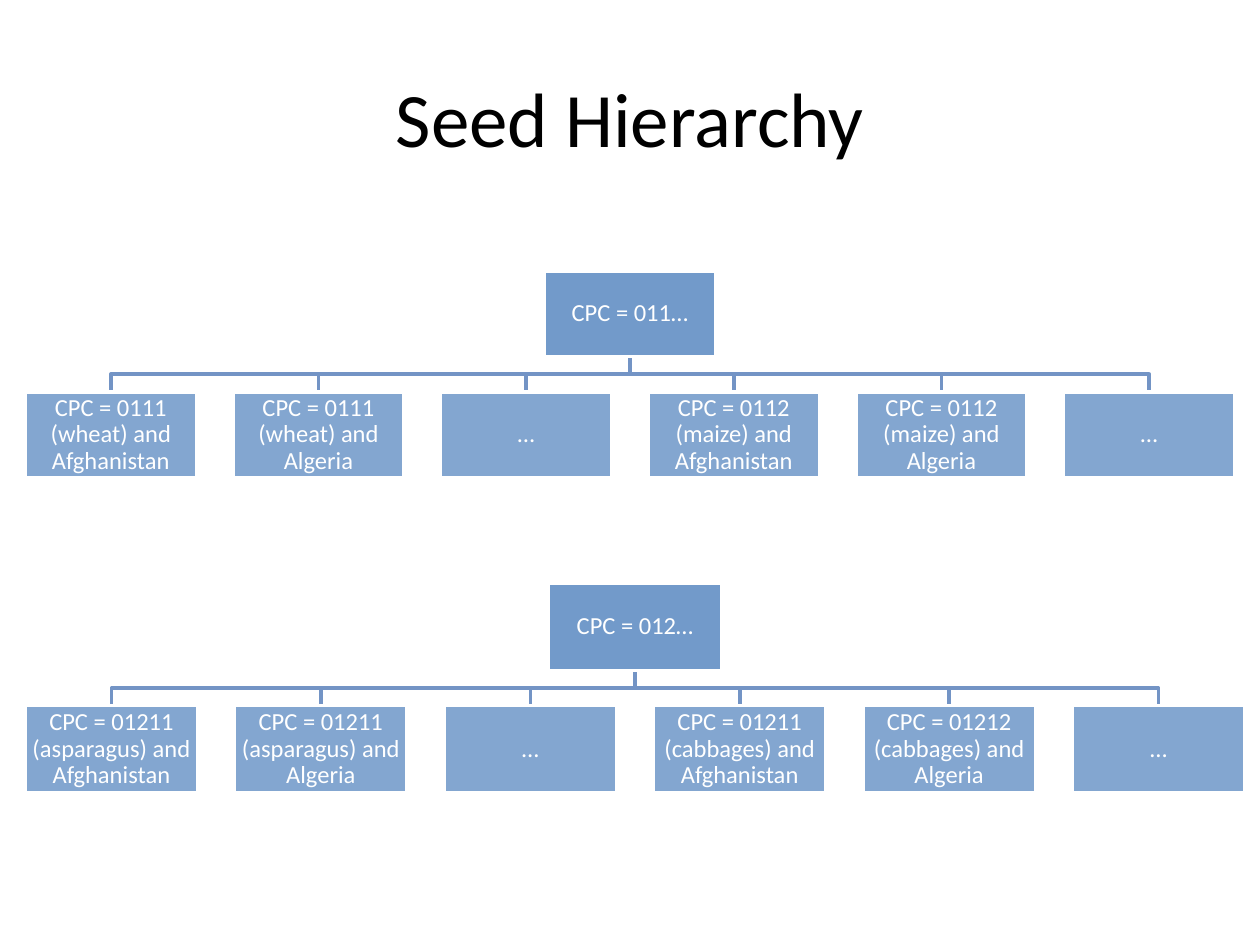
import pptx
import pptx.dml.color
import pptx.enum.shapes
import pptx.enum.text
import pptx.oxml
import pptx.oxml.ns
import pptx.util
from pptx.util import Inches

COLORS = {"box": "4F81BD", "branch": "7394C5", "light": "FFFFFF", "title": "000000"}
FONT = "Calibri"
GAP = 0.28

TREES = [
    {
        "left": 0.2, "right": 9.8, "top": 2.15, "width": 1.36, "height": 0.68,
        "root": "CPC = 011…",
        "leaves": [
            "CPC = 0111 (wheat) and Afghanistan",
            "CPC = 0111 (wheat) and Algeria",
            "…",
            "CPC = 0112 (maize) and Afghanistan",
            "CPC = 0112 (maize) and Algeria",
            "…",
        ],
    },
    {
        "left": 0.2, "right": 9.88, "top": 4.63, "width": 1.37, "height": 0.69,
        "root": "CPC = 012…",
        "leaves": [
            "CPC = 01211 (asparagus) and Afghanistan",
            "CPC = 01211 (asparagus) and Algeria",
            "…",
            "CPC = 01211 (cabbages) and Afghanistan",
            "CPC = 01212 (cabbages) and Algeria",
            "…",
        ],
    },
]


def rgb(name):
    return pptx.dml.color.RGBColor.from_string(COLORS[name])


def write(holder, text, size, color):
    frame = holder.text_frame
    frame.text = text
    frame.word_wrap = True
    frame.vertical_anchor = pptx.enum.text.MSO_ANCHOR.MIDDLE
    paragraph = frame.paragraphs[0]
    paragraph.alignment = pptx.enum.text.PP_ALIGN.CENTER
    font = paragraph.runs[0].font
    font.name = FONT
    font.size = pptx.util.Pt(size)
    font.color.rgb = rgb(color)
    return frame


def add_title(slide, text):
    title = slide.shapes.add_textbox(Inches(0.5), Inches(0.3), Inches(9), Inches(1.25))
    write(title, text, 44, "title")


def add_box(slide, left, top, width, height, text, opacity):
    box = slide.shapes.add_shape(
        pptx.enum.shapes.MSO_SHAPE.RECTANGLE,
        Inches(left), Inches(top), Inches(width), Inches(height))
    box.shadow.inherit = False
    box.fill.solid()
    box.fill.fore_color.rgb = rgb("box")
    tint = box.fill._xPr.find(".//" + pptx.oxml.ns.qn("a:srgbClr"))
    alpha = pptx.oxml.parse_xml(
        f'<a:alpha {pptx.oxml.ns.nsdecls("a")} val="{opacity * 1000}"/>')
    tint.append(alpha)
    box.line.color.rgb = rgb("light")
    box.line.width = pptx.util.Pt(2)
    frame = write(box, text, 14, "light")
    frame.margin_left = frame.margin_right = Inches(0.01)
    frame.margin_top = frame.margin_bottom = Inches(0.01)
    frame.paragraphs[0].line_spacing = 0.9


def add_branch(slide, root_x, leaf_x, top, bottom):
    middle = (top + bottom) / 2
    builder = slide.shapes.build_freeform(Inches(root_x), Inches(top))
    bends = [(root_x, middle), (leaf_x, middle), (leaf_x, bottom)]
    builder.add_line_segments([(Inches(x), Inches(y)) for x, y in bends], close=False)
    branch = builder.convert_to_shape()
    branch.shadow.inherit = False
    branch.fill.background()
    branch.line.color.rgb = rgb("branch")
    branch.line.width = pptx.util.Pt(2)


def add_tree(slide, left, right, top, width, height, root, leaves):
    pitch = (right - left - width) / (len(leaves) - 1)
    leaf_lefts = [left + i * pitch for i in range(len(leaves))]
    root_x = (left + right) / 2
    root_bottom = top + height
    leaf_top = root_bottom + GAP
    for leaf_left in reversed(leaf_lefts):
        add_branch(slide, root_x, leaf_left + width / 2, root_bottom, leaf_top)
    add_box(slide, root_x - width / 2, top, width, height, root, 80)
    for leaf_left, leaf in zip(leaf_lefts, leaves):
        add_box(slide, leaf_left, leaf_top, width, height, leaf, 70)


def main():
    deck = pptx.Presentation()
    deck.slide_width = Inches(10)
    deck.slide_height = Inches(7.5)
    slide = deck.slides.add_slide(deck.slide_layouts[6])
    add_title(slide, "Seed Hierarchy")
    for tree in TREES:
        add_tree(slide, **tree)
    deck.save("out.pptx")


if __name__ == "__main__":
    main()
